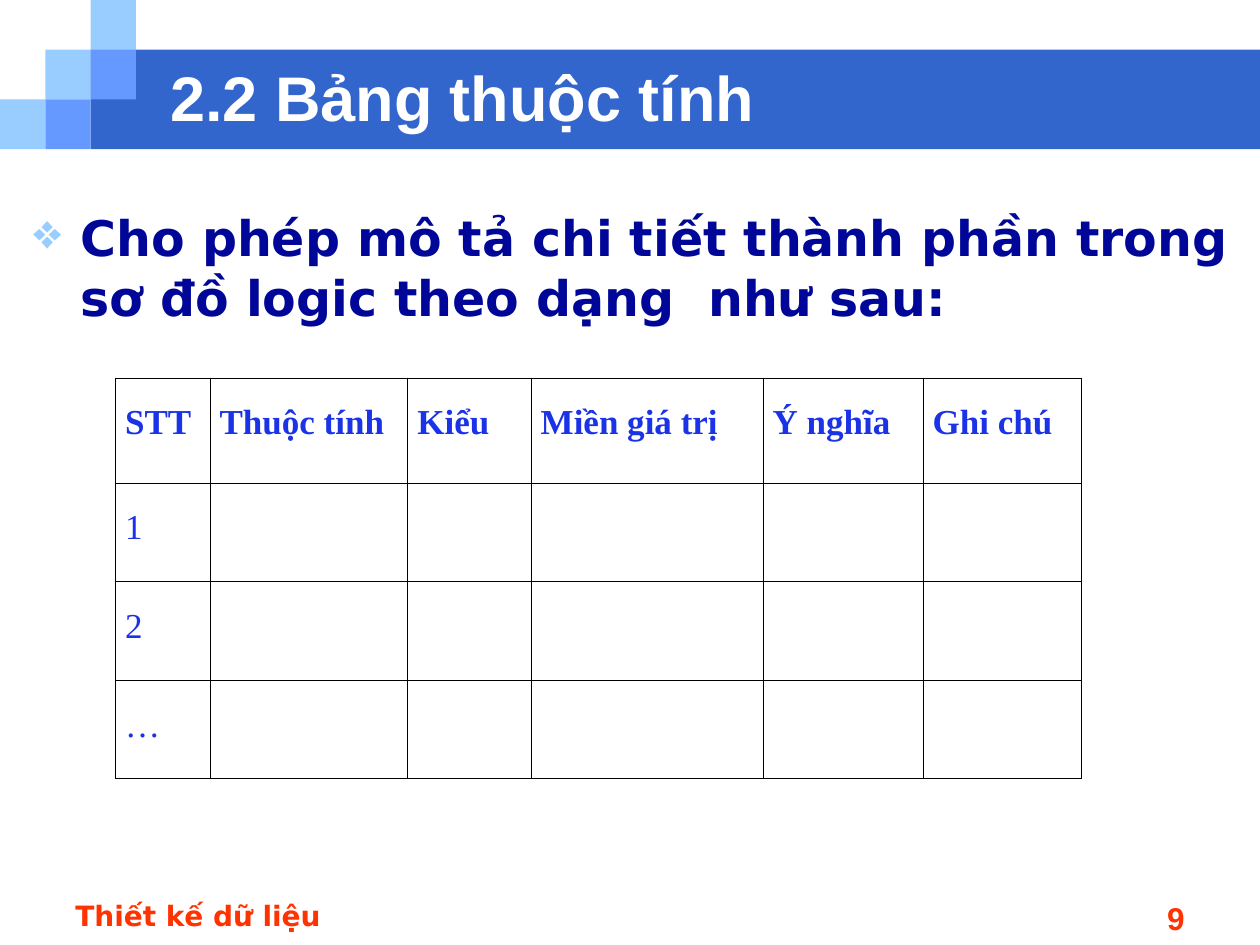
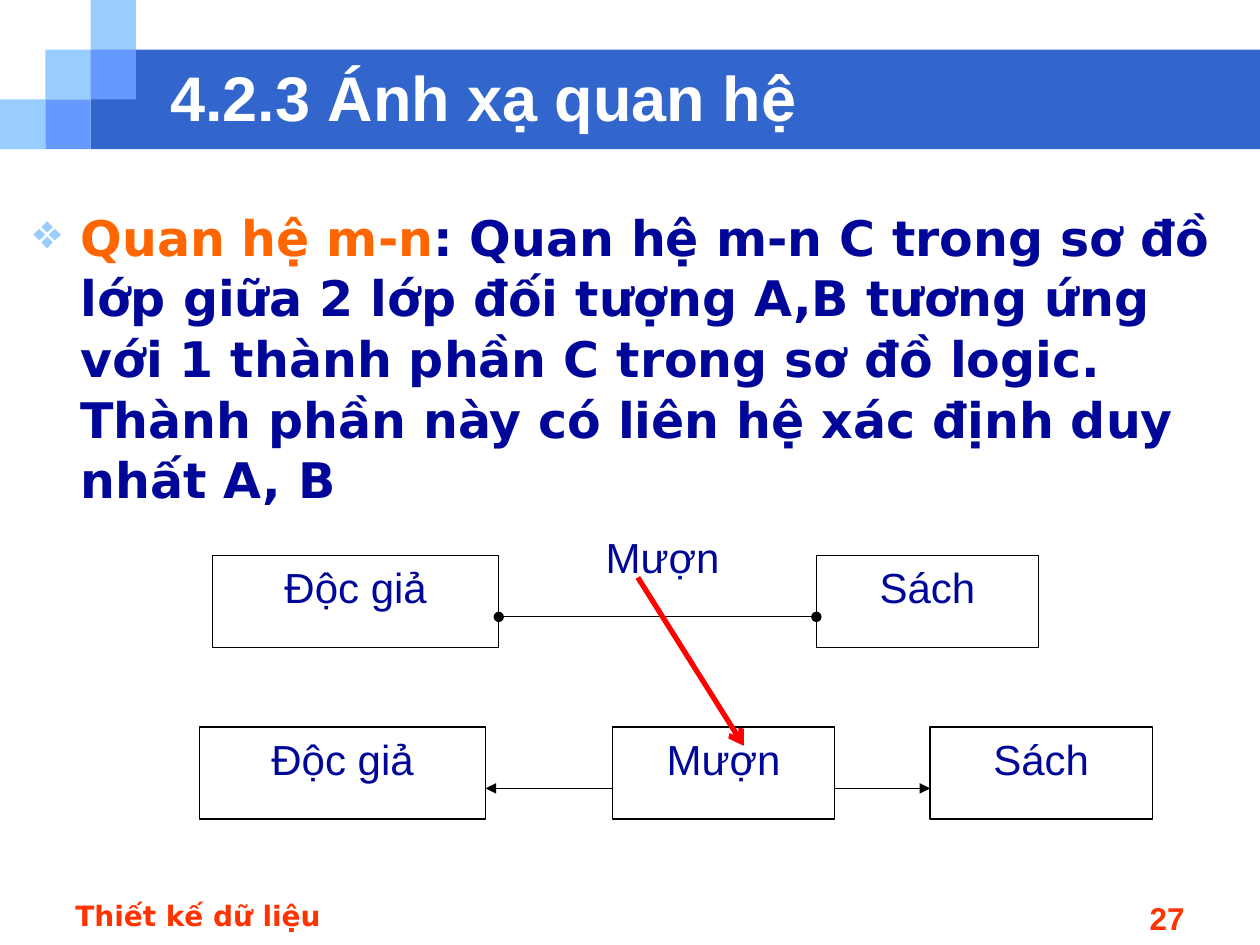
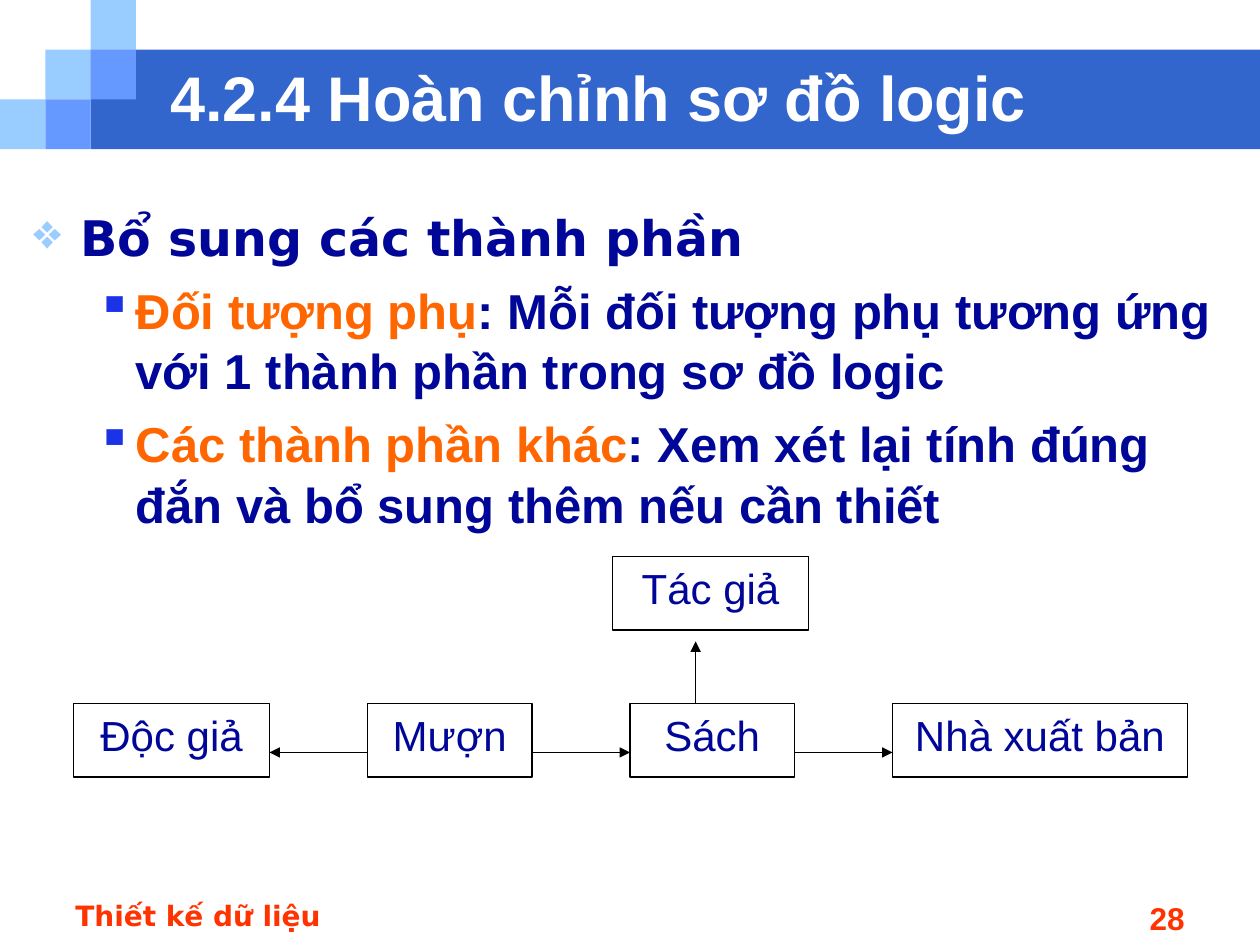
from dataclasses import dataclass

from lxml import etree
from pptx import Presentation
from pptx.dml.color import RGBColor
from pptx.enum.shapes import MSO_CONNECTOR, MSO_SHAPE
from pptx.enum.text import MSO_ANCHOR, PP_ALIGN
from pptx.oxml.ns import qn
from pptx.util import Pt

RECTANGLE = MSO_SHAPE.RECTANGLE
STRAIGHT = MSO_CONNECTOR.STRAIGHT
TOP, MIDDLE = MSO_ANCHOR.TOP, MSO_ANCHOR.MIDDLE
LEFT, CENTER, RIGHT = PP_ALIGN.LEFT, PP_ALIGN.CENTER, PP_ALIGN.RIGHT
TITLE_ONLY = 5


@dataclass(frozen=True)
class Theme:
    band: str = "3366CC"
    light_tile: str = "99CCFF"
    dark_tile: str = "6699FF"
    white: str = "FFFFFF"
    black: str = "000000"
    text: str = "000798"
    accent: str = "FF6600"
    table_text: str = "1B33E7"
    footer: str = "FF3300"
    arrow: str = "FF0000"
    sans: str = "Arial"
    wide: str = "DejaVu Sans"
    serif: str = "Times New Roman"
    title_size: int = 36
    body_size: int = 28
    diagram_size: int = 24
    table_size: int = 20
    number_size: int = 18
    footer_size: int = 16


THEME = Theme()
FOOTER = "Thiết kế dữ liệu"
# Per level: bullet, its colour, text indent, hanging indent, font
LEVELS = (
    ("❖", THEME.light_tile, 27, 27, THEME.wide),
    ("▪", THEME.table_text, 58.5, 22.5, THEME.sans),
)


def rgb(color):
    return RGBColor.from_string(color)


def format_runs(paragraph, font, size, color, bold=False):
    for run in paragraph.runs:
        run.font.name = font
        run.font.size = Pt(size)
        run.font.bold = bold
        run.font.color.rgb = rgb(color)


def add_rectangle(slide, left, top, width, height, color):
    shape = slide.shapes.add_shape(RECTANGLE, Pt(left), Pt(top), Pt(width), Pt(height))
    shape.shadow.inherit = False
    shape.fill.solid()
    shape.fill.fore_color.rgb = rgb(color)
    shape.line.fill.background()
    return shape


def add_text(slide, text, left, top, width, height, font, size, color,
             bold=False, alignment=LEFT):
    box = slide.shapes.add_textbox(Pt(left), Pt(top), Pt(width), Pt(height))
    box.text_frame.word_wrap = True
    box.text_frame.text = text
    paragraph = box.text_frame.paragraphs[0]
    paragraph.alignment = alignment
    format_runs(paragraph, font, size, color, bold)


def move_band_to_layout(slide):
    """Draw the title band and its staircase of tiles, then share them via the layout."""
    layout = slide.slide_layout
    for placeholder in list(layout.placeholders):
        if placeholder.placeholder_format.idx:
            placeholder.element.getparent().remove(placeholder.element)
    tile_width, tile_height = 25.9, 28.4
    parts = [add_rectangle(slide, 2 * tile_width, tile_height, 720 - 2 * tile_width,
                           2 * tile_height, THEME.band)]
    tiles = [(column, 2 - column, THEME.light_tile) for column in range(3)]
    tiles += [(column, 3 - column, THEME.dark_tile) for column in (1, 2)]
    for column, row, color in tiles:
        parts.append(add_rectangle(slide, column * tile_width, row * tile_height,
                                   tile_width, tile_height, color))
    for part in parts:
        layout.shapes.element.append(part.element)


def add_titled_slide(presentation, title, number):
    slide = presentation.slides.add_slide(presentation.slide_layouts[TITLE_ONLY])
    placeholder = slide.shapes.title
    placeholder.left, placeholder.top = Pt(90), Pt(36)
    placeholder.width, placeholder.height = Pt(582), Pt(38)
    frame = placeholder.text_frame
    frame.text = title
    frame.vertical_anchor = MIDDLE
    frame.paragraphs[0].alignment = LEFT
    format_runs(frame.paragraphs[0], THEME.sans, THEME.title_size, THEME.white, True)
    if len(presentation.slides) == 1:
        move_band_to_layout(slide)
    add_text(slide, str(number), 516, 510, 168, 25, THEME.sans, THEME.number_size,
             THEME.footer, True, RIGHT)
    add_text(slide, FOOTER, 36, 510, 228, 25, THEME.wide, THEME.footer_size,
             THEME.footer, True)
    return slide


def add_bullet(paragraph, level):
    character, color, indent, hanging, _ = LEVELS[level]
    paragraph.level = level
    properties = paragraph._p.get_or_add_pPr()
    properties.set("marL", str(Pt(indent)))
    properties.set("indent", str(-Pt(hanging)))
    bullet_color = etree.SubElement(properties, qn("a:buClr"))
    etree.SubElement(bullet_color, qn("a:srgbClr"), val=color)
    etree.SubElement(properties, qn("a:buChar"), char=character)


def add_body(slide, items, left=12, top=114, width=699, height=390):
    """Each item is (level, highlighted lead, remaining text)."""
    frame = slide.shapes.add_textbox(Pt(left), Pt(top), Pt(width), Pt(height)).text_frame
    frame.word_wrap = True
    for index, (level, lead, rest) in enumerate(items):
        paragraph = frame.add_paragraph() if index else frame.paragraphs[0]
        add_bullet(paragraph, level)
        paragraph.line_spacing = 1.03
        if index:
            paragraph.space_before = Pt(7)
        for text in filter(None, (lead, rest)):
            paragraph.add_run().text = text
        format_runs(paragraph, LEVELS[level][4], THEME.body_size, THEME.text, True)
        if lead:
            paragraph.runs[0].font.color.rgb = rgb(THEME.accent)


def set_borders(cell, color, width):
    properties = cell._tc.get_or_add_tcPr()
    for side in ("a:lnL", "a:lnR", "a:lnT", "a:lnB"):
        line = etree.SubElement(properties, qn(side), w=str(Pt(width)))
        fill = etree.SubElement(line, qn("a:solidFill"))
        etree.SubElement(fill, qn("a:srgbClr"), val=color)


def add_attribute_table(slide, rows, left, top, column_widths, row_heights):
    table = slide.shapes.add_table(len(rows), len(column_widths), Pt(left), Pt(top),
                                   Pt(sum(column_widths)), Pt(sum(row_heights))).table
    table.first_row = table.horz_banding = False
    for column, width in zip(table.columns, column_widths):
        column.width = Pt(width)
    for index, (row, height, values) in enumerate(zip(table.rows, row_heights, rows)):
        row.height = Pt(height)
        for cell in row.cells:
            set_borders(cell, THEME.black, 0.45)
            cell.fill.background()
            cell.margin_left = cell.margin_right = Pt(5.5)
        for cell, value in zip(row.cells, values):
            cell.text = value
            paragraph = cell.text_frame.paragraphs[0]
            paragraph.line_spacing = 1.5
            format_runs(paragraph, THEME.serif, THEME.table_size, THEME.table_text,
                        index == 0)


def add_entity(slide, name, left, top, width, height):
    shape = add_rectangle(slide, left, top, width, height, THEME.white)
    shape.line.color.rgb = rgb(THEME.black)
    shape.line.width = Pt(0.75)
    frame = shape.text_frame
    frame.word_wrap = True
    frame.vertical_anchor = TOP
    frame.text = name
    frame.paragraphs[0].alignment = CENTER
    format_runs(frame.paragraphs[0], THEME.sans, THEME.diagram_size, THEME.text)
    return shape


def add_entity_row(slide, entities, left, top, height):
    """Place (name, width, gap after) entities from left to right."""
    shapes = []
    for name, width, gap in entities:
        shapes.append(add_entity(slide, name, left, top, width, height))
        left += width + gap
    return shapes


def add_line(slide, start, end, color=THEME.black, width=0.75, head="none",
             tail="triangle"):
    connector = slide.shapes.add_connector(STRAIGHT, *start, *end)
    connector.line.color.rgb = rgb(color)
    connector.line.width = Pt(width)
    line = connector.line._get_or_add_ln()
    etree.SubElement(line, qn("a:headEnd"), type=head)
    etree.SubElement(line, qn("a:tailEnd"), type=tail)
    etree.SubElement(connector._element.spPr, qn("a:effectLst"))


def link_entities(slide, source, target, **ends):
    """Join the facing sides of two entities at two thirds of their height."""
    y = source.top + source.height * 2 // 3
    if source.left < target.left:
        start, end = source.left + source.width, target.left
    else:
        start, end = source.left, target.left + target.width
    add_line(slide, (start, y), (end, y), **ends)


def add_mapping_diagram(slide, left, top):
    reader, book = add_entity_row(
        slide, [("Độc giả", 163.5, 181.5), ("Sách", 127, 0)], left + 7.5, top + 17.3, 52.5)
    link_entities(slide, reader, book, head="oval", tail="oval")
    add_text(slide, "Mượn", left + 225, top, 91, 52.5, THEME.sans, THEME.diagram_size,
             THEME.text)
    reader, loan, book = add_entity_row(
        slide, [("Độc giả", 163.5, 72.5), ("Mượn", 127, 54.5), ("Sách", 127, 0)],
        left, top + 115.3, 52.5)
    link_entities(slide, loan, reader)
    link_entities(slide, loan, book)
    add_line(slide, (Pt(left + 250.5), Pt(top + 29.8)), (Pt(left + 311), Pt(top + 126)),
             THEME.arrow, 3, tail="arrow")


def add_logic_diagram(slide, left, top):
    add_entity(slide, "Tác giả", left + 308, top, 112, 42)
    reader, loan, book, publisher = add_entity_row(
        slide, [("Độc giả", 112, 56), ("Mượn", 94, 56), ("Sách", 94, 56),
                ("Nhà xuất bản", 168.5, 0)], left, top + 84, 42)
    for source, target in ((loan, reader), (loan, book), (book, publisher)):
        link_entities(slide, source, target)
    author_x = Pt(left + 355.5)
    add_line(slide, (author_x, book.top), (author_x, Pt(top + 48.5)))


def add_attribute_slide(presentation):
    slide = add_titled_slide(presentation, "2.2 Bảng thuộc tính", 9)
    add_body(slide, [(0, "", "Cho phép mô tả chi tiết thành phần trong sơ đồ logic "
                             "theo dạng  như sau:")])
    headers = ("STT", "Thuộc tính", "Kiểu", "Miền giá trị", "Ý nghĩa", "Ghi chú")
    add_attribute_table(slide, [headers, ("1",), ("2",), ("…",)], 66, 216,
                        (54, 113, 70.5, 132.5, 91.5, 90.5), (60, 56.3, 56.3, 56.3))


def add_relation_slide(presentation):
    slide = add_titled_slide(presentation, "4.2.3 Ánh xạ quan hệ", 27)
    add_body(slide, [(0, "Quan hệ m-n",
                      ": Quan hệ m-n C trong sơ đồ lớp giữa 2 lớp đối tượng A,B tương ứng "
                      "với 1 thành phần C trong sơ đồ logic. Thành phần này có liên hệ "
                      "xác định duy nhất A, B")])
    add_mapping_diagram(slide, 114, 300.2)


def add_completion_slide(presentation):
    slide = add_titled_slide(presentation, "4.2.4 Hoàn chỉnh sơ đồ logic", 28)
    add_body(slide, [
        (0, "", "Bổ sung các thành phần"),
        (1, "Đối tượng phụ",
         ": Mỗi đối tượng phụ tương ứng với 1 thành phần trong sơ đồ logic"),
        (1, "Các thành phần khác",
         ": Xem xét lại tính đúng đắn và bổ sung thêm nếu cần thiết"),
    ])
    add_logic_diagram(slide, 42, 318)


def main():
    presentation = Presentation()
    presentation.slide_width, presentation.slide_height = Pt(720), Pt(540)
    add_attribute_slide(presentation)
    add_relation_slide(presentation)
    add_completion_slide(presentation)
    presentation.save("out.pptx")


if __name__ == "__main__":
    main()
